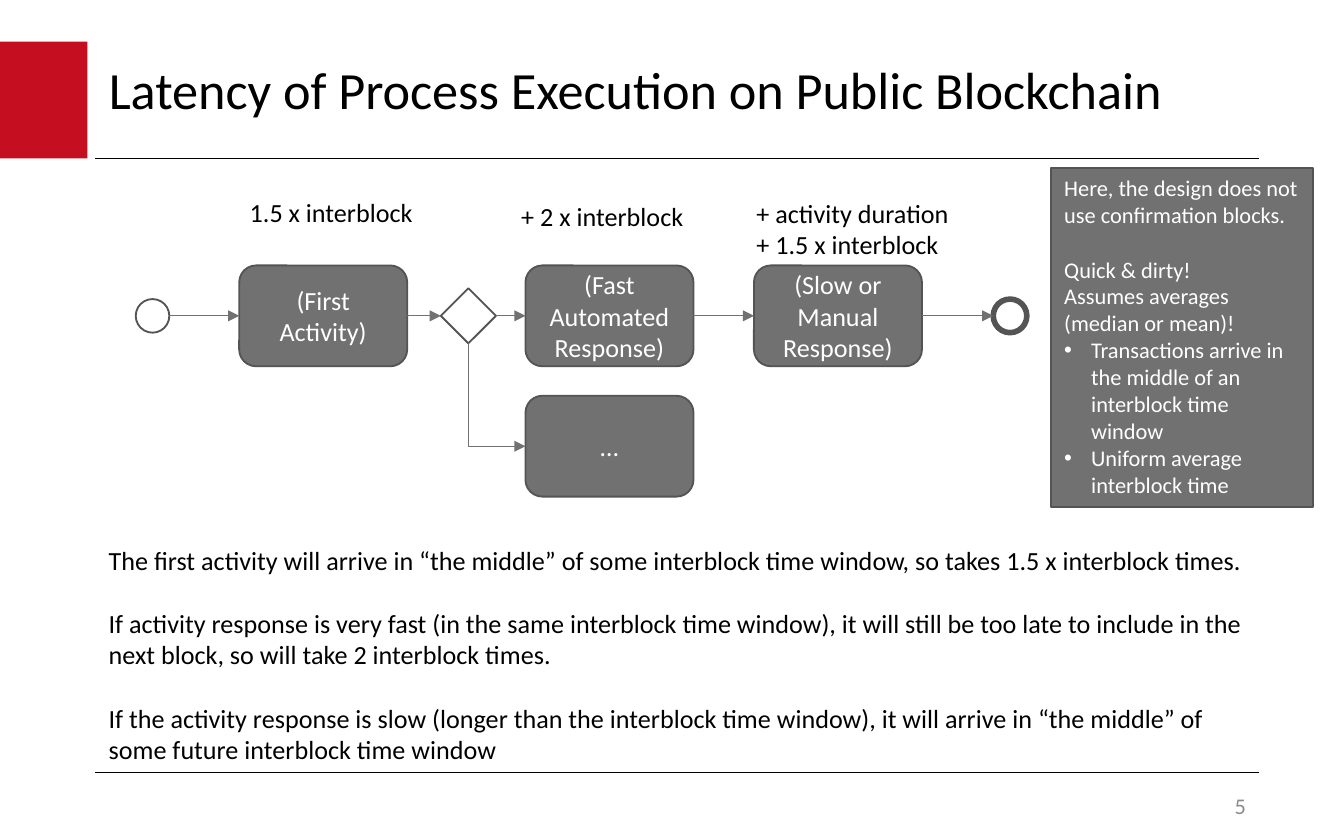
from dataclasses import dataclass
from typing import Optional

from lxml import etree
from pptx import Presentation
from pptx.dml.color import RGBColor
from pptx.enum.shapes import MSO_CONNECTOR, MSO_SHAPE
from pptx.enum.text import MSO_ANCHOR, PP_ALIGN
from pptx.oxml.ns import qn
from pptx.shapes.autoshape import Shape
from pptx.shapes.connector import Connector
from pptx.util import Inches, Pt

RECTANGLE = MSO_SHAPE.RECTANGLE
ROUNDED = MSO_SHAPE.ROUNDED_RECTANGLE
DIAMOND = MSO_SHAPE.DIAMOND
OVAL = MSO_SHAPE.OVAL
STRAIGHT, ELBOW = MSO_CONNECTOR.STRAIGHT, MSO_CONNECTOR.ELBOW
LEFT, CENTER, RIGHT = PP_ALIGN.LEFT, PP_ALIGN.CENTER, PP_ALIGN.RIGHT
TOP, MIDDLE = MSO_ANCHOR.TOP, MSO_ANCHOR.MIDDLE

BLACK = RGBColor(0x00, 0x00, 0x00)
WHITE = RGBColor(0xFF, 0xFF, 0xFF)
RED = RGBColor(0xC5, 0x0E, 0x1F)
GRAY = RGBColor(0x71, 0x71, 0x71)
DARK_GRAY = RGBColor(0x54, 0x54, 0x54)
NUMBER_GRAY = RGBColor(0x8C, 0x8C, 0x8C)

FONT = "Calibri"
LINE_HEIGHT = 1.22
AXIS = 2.35
BRANCH_AXIS = 3.32
LEFT_SIDE, RIGHT_SIDE = 1, 3


@dataclass
class Box:
    left: float
    top: float
    width: float
    height: float


@dataclass
class Node:
    kind: MSO_SHAPE
    left: float
    width: float
    height: float
    axis: float = AXIS
    text: str = ""
    fill: RGBColor = WHITE
    line_width: float = 1


@dataclass
class Line:
    text: str
    gap_before: bool = False
    bullet: bool = False


@dataclass
class Label:
    box: Box
    lines: list[str]


def add_run(paragraph, text: str, size: float, color: RGBColor) -> None:
    run = paragraph.add_run()
    run.text = text
    run.font.name = FONT
    run.font.size = Pt(size)
    run.font.color.rgb = color


def write_lines(frame, lines: list[Line], size: float, color: RGBColor,
                alignment=LEFT, anchor=TOP, wrap: bool = True) -> None:
    frame.word_wrap = wrap
    frame.vertical_anchor = anchor
    for index, line in enumerate(lines):
        paragraph = frame.add_paragraph() if index else frame.paragraphs[0]
        paragraph.alignment = alignment
        if line.gap_before:
            paragraph.space_before = Pt(size * LINE_HEIGHT)
        if line.bullet:
            properties = paragraph._p.get_or_add_pPr()
            properties.set("marL", str(Inches(0.2)))
            properties.set("indent", str(-Inches(0.2)))
            etree.SubElement(properties, qn("a:buFont")).set("typeface", "Arial")
            etree.SubElement(properties, qn("a:buChar")).set("char", "•")
        add_run(paragraph, line.text, size, color)


def add_textbox(slide, box: Box) -> Shape:
    return slide.shapes.add_textbox(Inches(box.left), Inches(box.top),
                                    Inches(box.width), Inches(box.height))


def add_block(slide, kind: MSO_SHAPE, box: Box, fill: RGBColor,
              line: Optional[RGBColor] = None, line_width: float = 1) -> Shape:
    shape = slide.shapes.add_shape(kind, Inches(box.left), Inches(box.top),
                                   Inches(box.width), Inches(box.height))
    shape.shadow.inherit = False
    shape.fill.solid()
    shape.fill.fore_color.rgb = fill
    if line is None:
        shape.line.fill.background()
    else:
        shape.line.color.rgb = line
        shape.line.width = Pt(line_width)
    return shape


def add_node(slide, node: Node) -> Shape:
    box = Box(node.left, node.axis - node.height / 2, node.width, node.height)
    shape = add_block(slide, node.kind, box, node.fill, DARK_GRAY, node.line_width)
    if node.text:
        write_lines(shape.text_frame, [Line(node.text)], 14, WHITE, CENTER, MIDDLE)
    return shape


def add_line(slide, kind: MSO_CONNECTOR, start: tuple[float, float],
             end: tuple[float, float], color: RGBColor, width: float) -> Connector:
    connector = slide.shapes.add_connector(kind, *map(Inches, start + end))
    connector.line.color.rgb = color
    connector.line.width = Pt(width)
    etree.SubElement(connector._element.spPr, qn("a:effectLst"))
    return connector


def add_arrow(slide, start: Node, end: Node, shapes: dict[str, Shape],
              kind: MSO_CONNECTOR = STRAIGHT) -> Connector:
    begin = (start.left + start.width, start.axis)
    if kind == ELBOW:
        begin = (start.left + start.width / 2, start.axis + start.height / 2)
    finish = (end.left, end.axis)
    connector = add_line(slide, kind, begin, finish, GRAY, 0.5)
    etree.SubElement(connector.line._get_or_add_ln(), qn("a:tailEnd")).set("type", "triangle")
    if start.kind == ROUNDED:
        connector.begin_connect(shapes[start.text], RIGHT_SIDE)
    if end.kind == ROUNDED:
        connector.end_connect(shapes[end.text], LEFT_SIDE)
    if kind == ELBOW:
        run, drop = finish[0] - begin[0], finish[1] - begin[1]
        connector.left = Inches(begin[0] + (run - drop) / 2)
        connector.top = Inches(begin[1] + (drop - run) / 2)
        connector.width, connector.height = Inches(drop), Inches(run)
        properties = connector._element.spPr
        properties.find(qn("a:prstGeom")).set("prst", "bentConnector2")
        transform = properties.find(qn("a:xfrm"))
        transform.set("rot", "16200000")
        transform.set("flipH", "1")
    return connector


def activity(left: float, text: str, axis: float = AXIS) -> Node:
    return Node(ROUNDED, left, 1.25, 0.75, axis, text, GRAY)


START = Node(OVAL, 1.01, 0.25, 0.25)
FIRST = activity(1.78, "(First Activity)")
GATEWAY = Node(DIAMOND, 3.28, 0.41, 0.41)
FAST = activity(3.91, "(Fast Automated Response)")
OTHER = activity(3.91, "…", BRANCH_AXIS)
SLOW = activity(5.61, "(Slow or Manual Response)")
END = Node(OVAL, 7.39, 0.25, 0.25, line_width=3)
FLOW = [START, FIRST, GATEWAY, FAST, SLOW, END]

LABELS = [
    Label(Box(1.76, 1.41, 1.43, 0.34), ["1.5 x interblock"]),
    Label(Box(3.78, 1.44, 1.42, 0.34), ["+ 2 x interblock"]),
    Label(Box(5.53, 1.42, 1.65, 0.57), ["+ activity duration", "+ 1.5 x interblock"]),
]
EXPLANATION = [
    Line("The first activity will arrive in “the middle” of some interblock time window, "
         "so takes 1.5 x interblock times."),
    Line("If activity response is very fast (in the same interblock time window), it will still "
         "be too late to include in the next block, so will take 2 interblock times.", True),
    Line("If the activity response is slow (longer than the interblock time window), it will "
         "arrive in “the middle” of some future interblock time window", True),
]
ASSUMPTIONS = [
    Line("Here, the design does not use confirmation blocks."),
    Line("Quick & dirty!", True),
    Line("Assumes averages (median or mean)!"),
    Line("Transactions arrive in the middle of an interblock time window", bullet=True),
    Line("Uniform average interblock time", bullet=True),
]


def main() -> None:
    presentation = Presentation()
    presentation.slide_width, presentation.slide_height = Inches(10), Inches(6.25)
    slide = presentation.slides.add_slide(presentation.slide_layouts[5])

    add_block(slide, RECTANGLE, Box(0, 0.31, 0.65, 0.87), RED)
    for height in (1.18, 5.75):
        add_line(slide, STRAIGHT, (0.71, height), (9.37, height), BLACK, 0.75)

    title = slide.shapes.title
    title.left, title.top, title.width, title.height = map(Inches, (0.71, 0.33, 8.66, 0.71))
    write_lines(title.text_frame, [Line("Latency of Process Execution on Public Blockchain")],
                28, BLACK, anchor=MIDDLE)
    title.text_frame.paragraphs[0].line_spacing = 0.9
    number = add_textbox(slide, Box(7.34, 5.87, 2.03, 0.25))
    write_lines(number.text_frame, [Line("5")], 12, NUMBER_GRAY, RIGHT, MIDDLE)

    shapes = {node.text: add_node(slide, node) for node in FLOW + [OTHER]}
    for start, end in zip(FLOW, FLOW[1:]):
        add_arrow(slide, start, end, shapes)
    add_arrow(slide, GATEWAY, OTHER, shapes, ELBOW)

    for label in LABELS:
        frame = add_textbox(slide, label.box).text_frame
        write_lines(frame, [Line(label.lines[0])], 14, BLACK, wrap=False)
        for text in label.lines[1:]:
            frame.paragraphs[0].add_line_break()
            add_run(frame.paragraphs[0], text, 14, BLACK)

    explanation = add_textbox(slide, Box(0.71, 4, 8.65, 1.76))
    write_lines(explanation.text_frame, EXPLANATION, 14, BLACK)
    note = add_block(slide, RECTANGLE, Box(7.82, 1.25, 1.95, 2.52), GRAY, DARK_GRAY)
    write_lines(note.text_frame, ASSUMPTIONS, 12, WHITE)

    presentation.save("out.pptx")


if __name__ == "__main__":
    main()
